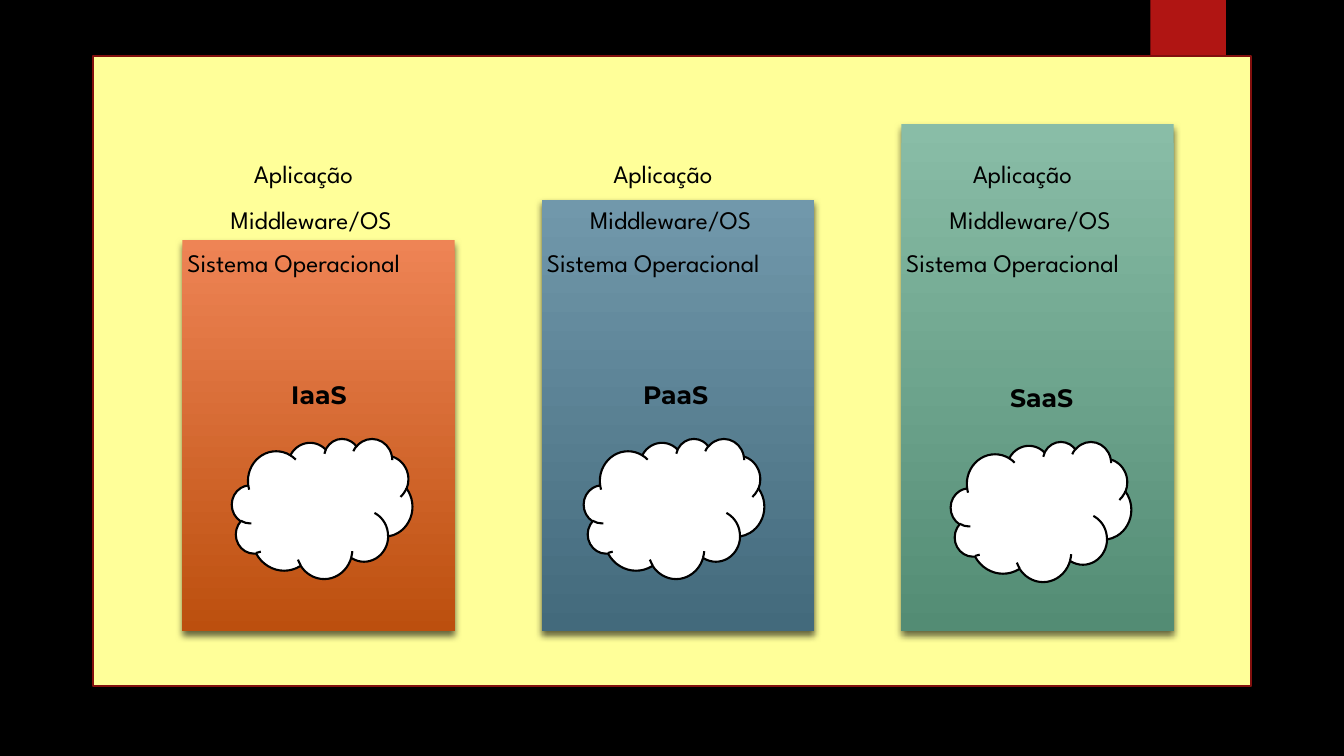
"""Build a slide comparing the layers covered by IaaS, PaaS and SaaS."""
from lxml import etree
from pptx import Presentation
from pptx.dml.color import RGBColor
from pptx.enum.shapes import MSO_SHAPE
from pptx.enum.text import MSO_AUTO_SIZE
from pptx.oxml.ns import qn
from pptx.util import Inches, Pt

RECTANGLE, CLOUD = MSO_SHAPE.RECTANGLE, MSO_SHAPE.CLOUD
FIT_TEXT = MSO_AUTO_SIZE.SHAPE_TO_FIT_TEXT

SERVICES = [
    {"name": "IaaS", "name_width": 0.82, "bar_top": 2.38, "cloud": (2.3, 4.35),
     "gradient": ("EE8455", "BC4F0E")},
    {"name": "PaaS", "name_width": 0.9, "bar_top": 1.98, "cloud": (5.79, 4.35),
     "gradient": ("7198AB", "436A7C")},
    {"name": "SaaS", "name_width": 0.9, "bar_top": 1.23, "cloud": (9.43, 4.38),
     "gradient": ("89BDA7", "538C74")},
]
LAYERS = [
    ("Aplicação", 0.61, 1.52, 1.5),
    ("Middleware/OS", 0.38, 1.98, 2.13),
    ("Sistema Operacional", -0.05, 2.4, 2.76),
]
COLORS = {"background": "000000", "tab": "B01513", "panel": "FFFF99",
          "panel_line": "82100E", "cloud": "FFFFFF", "ink": "000000"}
LAYER_FONT, NAME_FONT = "League Spartan", "Montserrat"

SLIDE_SIZE = (13.33, 7.5)
TAB = (11.41, 0, 0.75, 1.25)
PANEL = (0.92, 0.56, 11.49, 6.25)
FIRST_BAR, BAR_PITCH, BAR_WIDTH, BAR_BOTTOM = 1.81, 3.565, 2.7, 6.265
CLOUD_SIZE = (1.79, 1.39)
NAME_OFFSET = (0.49, -0.64)
TEXT_HEIGHT = 0.4


def rgb(color):
    return RGBColor.from_string(color)


def add_block(slide, kind, box, fill=None, line=None, gradient=None):
    shape = slide.shapes.add_shape(kind, *map(Inches, box))
    shape.shadow.inherit = False
    if gradient:
        shape.fill.gradient()
        shape.fill.gradient_angle = 270
        for stop, color in zip(shape.fill.gradient_stops, gradient):
            stop.color.rgb = rgb(color)
    else:
        shape.fill.solid()
        shape.fill.fore_color.rgb = rgb(fill)
    if line:
        shape.line.color.rgb = rgb(line)
        shape.line.width = Pt(1.5)
    else:
        shape.line.fill.background()
    return shape


def add_shadow(shape, opacity, blur, distance):
    effects = shape._element.spPr.find(qn("a:effectLst"))
    shadow = etree.SubElement(effects, qn("a:outerShdw"), blurRad=str(Pt(blur)),
                              dist=str(Pt(distance)), dir="5400000",
                              algn="ctr", rotWithShape="0")
    color = etree.SubElement(shadow, qn("a:srgbClr"), val=COLORS["ink"])
    etree.SubElement(color, qn("a:alpha"), val=str(opacity * 1000))


def add_label(slide, text, left, top, width, font_name, bold=False):
    box = slide.shapes.add_textbox(*map(Inches, (left, top, width, TEXT_HEIGHT)))
    frame = box.text_frame
    frame.text = text
    frame.word_wrap = False
    frame.auto_size = FIT_TEXT
    font = frame.paragraphs[0].runs[0].font
    font.name, font.size, font.bold = font_name, Pt(18), bold
    font.color.rgb = rgb(COLORS["ink"])


def main():
    presentation = Presentation()
    presentation.slide_width, presentation.slide_height = map(Inches, SLIDE_SIZE)
    slide = presentation.slides.add_slide(presentation.slide_layouts[6])
    slide.background.fill.solid()
    slide.background.fill.fore_color.rgb = rgb(COLORS["background"])

    add_shadow(add_block(slide, RECTANGLE, TAB, COLORS["tab"]), 45, 3, 2)
    add_block(slide, RECTANGLE, PANEL, COLORS["panel"], COLORS["panel_line"])

    for column, service in enumerate(SERVICES):
        left, top = FIRST_BAR + column * BAR_PITCH, service["bar_top"]
        bar = add_block(slide, RECTANGLE, (left, top, BAR_WIDTH, BAR_BOTTOM - top),
                        gradient=service["gradient"])
        add_shadow(bar, 60, 5, 3)
        for text, offset, layer_top, width in LAYERS:
            add_label(slide, text, left + offset, layer_top, width, LAYER_FONT)
        cloud_left, cloud_top = service["cloud"]
        add_block(slide, CLOUD, service["cloud"] + CLOUD_SIZE,
                  COLORS["cloud"], COLORS["ink"])
        add_label(slide, service["name"], cloud_left + NAME_OFFSET[0],
                  cloud_top + NAME_OFFSET[1], service["name_width"],
                  NAME_FONT, bold=True)

    presentation.save("out.pptx")


if __name__ == "__main__":
    main()
